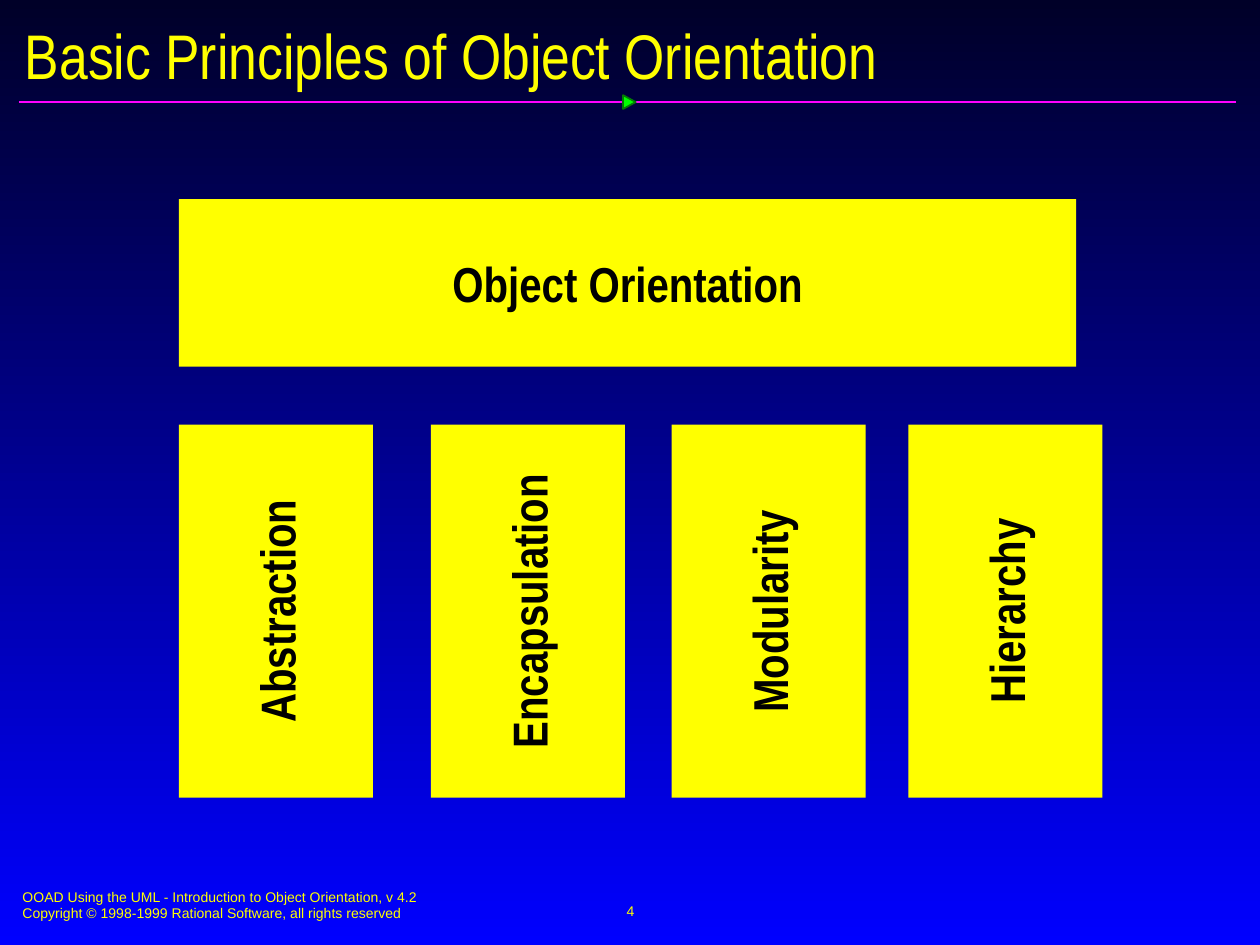
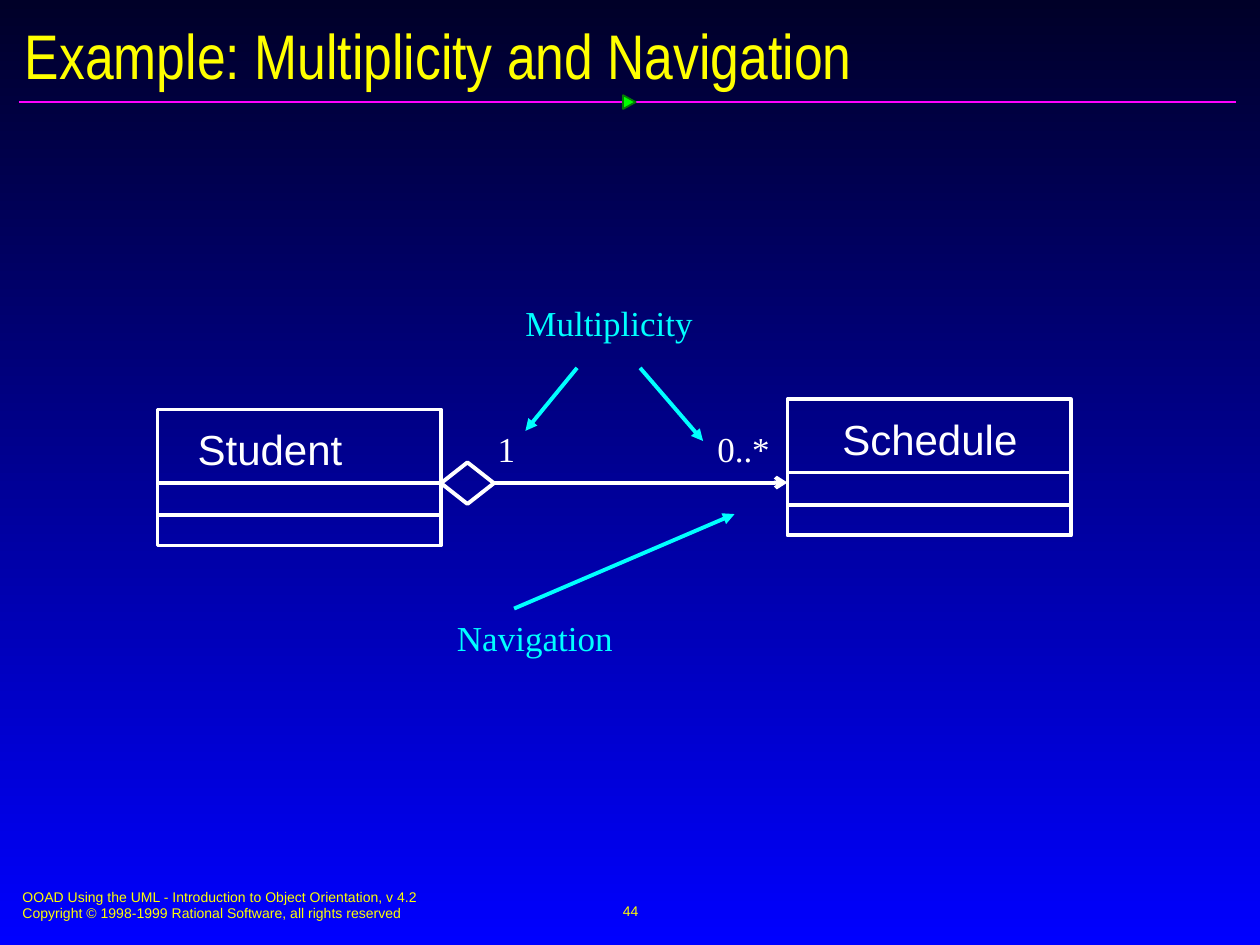
from lxml import etree
from pptx import Presentation
from pptx.dml.color import RGBColor
from pptx.enum.shapes import MSO_CONNECTOR, MSO_SHAPE
from pptx.enum.text import MSO_ANCHOR, PP_ALIGN
from pptx.oxml.ns import qn
from pptx.util import Inches, Pt

NIGHT = RGBColor(0x00, 0x00, 0x28)
BLUE = RGBColor(0x00, 0x00, 0xFF)
YELLOW = RGBColor(0xFF, 0xFF, 0x00)
MAGENTA = RGBColor(0xFF, 0x01, 0xFF)
GREEN = RGBColor(0x00, 0xFF, 0x00)
DARK_GREEN = RGBColor(0x03, 0x7C, 0x03)
CYAN = RGBColor(0x00, 0xFF, 0xFF)
WHITE = RGBColor(0xFF, 0xFF, 0xFF)
BLACK = RGBColor(0x00, 0x00, 0x00)

TITLE = {"name": "Arial Narrow", "size": Pt(36), "color": YELLOW}
FOOTER = {"name": "Arial", "size": Pt(8), "color": YELLOW}
BLOCK = {"name": "Arial Narrow", "size": Pt(28), "bold": True, "color": BLACK}
CLASS_NAME = {"name": "Arial", "size": Pt(24), "color": WHITE}
END_LABEL = {"name": "Times New Roman", "size": Pt(20), "color": WHITE}
CALLOUT = END_LABEL | {"color": CYAN}

LEFT, CENTER, RIGHT = PP_ALIGN.LEFT, PP_ALIGN.CENTER, PP_ALIGN.RIGHT
NARROW_INSETS, WIDE_INSETS = (0.1, 0.05), (0.12, 0.06)
DIAGRAM_LINE = 2.25

FOOTER_LINES = [
    "OOAD Using the UML - Introduction to Object Orientation, v 4.2",
    "Copyright © 1998-1999 Rational Software, all rights reserved",
]

# Slide 1: one roof over four pillars
ROOF = ("Object Orientation", (1.42, 1.58, 7.12, 1.33))
PILLARS = [("Abstraction", 1.42), ("Encapsulation", 3.42),
           ("Modularity", 5.33), ("Hierarchy", 7.21)]
PILLAR_TOP, PILLAR_WIDTH, PILLAR_HEIGHT = 3.37, 1.54, 2.96

# Slide 2: two classes joined by an aggregation
CLASSES = [("Student", 1.25, 3.25, LEFT), ("Schedule", 6.25, 3.17, CENTER)]
CLASS_WIDTH, CLASS_HEIGHT = 2.25, 1.08
COMPARTMENT_OFFSETS = [0.58, 0.84]
DIAGRAM_LABELS = [
    ("1", (3.83, 3.33, 1.73, 0.45), LEFT, END_LABEL),
    ("0..*", (4.5, 3.33, 1.73, 0.45), RIGHT, END_LABEL),
    ("Multiplicity", (2.92, 2.33, 3.83, 0.45), CENTER, CALLOUT),
    ("Navigation", (2.33, 4.83, 3.83, 0.45), CENTER, CALLOUT),
]
DIAGRAM_ARROWS = [
    ((5.08, 2.92), (5.58, 3.5), CYAN, "triangle"),
    ((4.58, 2.92), (4.17, 3.42), CYAN, "triangle"),
    ((4.08, 4.83), (5.83, 4.08), CYAN, "triangle"),
    ((3.92, 3.83), (6.25, 3.83), WHITE, "arrow"),
]
AGGREGATION_DIAMOND = (3.5, 3.67, 0.42, 0.33)


def inches(values):
    return [Inches(value) for value in values]


def write_text(shape, lines, style, align=LEFT, anchor=MSO_ANCHOR.TOP, insets=NARROW_INSETS):
    frame = shape.text_frame
    side, end = inches(insets)
    settings = {"word_wrap": True, "vertical_anchor": anchor, "margin_left": side,
                "margin_right": side, "margin_top": end, "margin_bottom": end}
    for name, value in settings.items():
        setattr(frame, name, value)
    frame.text = "\n".join(lines)
    for paragraph in frame.paragraphs:
        paragraph.alignment = align
        for name, value in style.items():
            if name == "color":
                paragraph.font.color.rgb = value
            else:
                setattr(paragraph.font, name, value)


def add_text(slide, box, lines, style, **layout):
    write_text(slide.shapes.add_textbox(*inches(box)), lines, style, **layout)


def add_figure(slide, kind, box, fill=None, line=None, width=DIAGRAM_LINE):
    shape = slide.shapes.add_shape(kind, *inches(box))
    shape.shadow.inherit = False
    if fill is None:
        shape.fill.background()
    else:
        shape.fill.solid()
        shape.fill.fore_color.rgb = fill
    if line is None:
        shape.line.fill.background()
    else:
        shape.line.color.rgb = line
        shape.line.width = Pt(width)
    return shape


def add_line(slide, start, end, color, width=DIAGRAM_LINE, arrowhead=None):
    connector = slide.shapes.add_connector(MSO_CONNECTOR.STRAIGHT, *inches(start + end))
    connector.line.color.rgb = color
    connector.line.width = Pt(width)
    if arrowhead:
        outline = connector.line._get_or_add_ln()
        etree.SubElement(outline, qn("a:tailEnd"), type=arrowhead)
    etree.SubElement(connector._element.spPr, qn("a:effectLst"))


def add_base_slide(presentation, title, number):
    """Add a slide with the shared background, title, rule and footers."""
    slide = presentation.slides.add_slide(presentation.slide_layouts[6])
    fill = slide.background.fill
    fill.gradient()
    fill.gradient_angle = 270
    for stop, color in zip(fill.gradient_stops, (NIGHT, BLUE)):
        stop.color.rgb = color
    add_line(slide, (0.15, 0.81), (9.81, 0.81), MAGENTA, width=1)
    marker = add_figure(slide, MSO_SHAPE.ISOSCELES_TRIANGLE, (4.94, 0.76, 0.11, 0.1),
                        GREEN, DARK_GREEN, width=1)
    marker.rotation = 90
    add_text(slide, (0.08, 7, 5.1, 0.37), FOOTER_LINES, FOOTER)
    add_text(slide, (3.42, 6.98, 3.17, 0.5), [str(number)], FOOTER,
             align=CENTER, anchor=MSO_ANCHOR.MIDDLE)
    add_text(slide, (0.1, 0.14, 9.84, 0.58), [title], TITLE, anchor=MSO_ANCHOR.MIDDLE)
    return slide


def add_block(slide, label, box):
    block = add_figure(slide, MSO_SHAPE.RECTANGLE, box, YELLOW)
    write_text(block, [label], BLOCK, align=CENTER, anchor=MSO_ANCHOR.MIDDLE)
    return block


def add_pillar(slide, label, left):
    """Add a block lying on its side, so that its text reads upwards."""
    shift = (PILLAR_HEIGHT - PILLAR_WIDTH) / 2
    box = (left - shift, PILLAR_TOP + shift, PILLAR_HEIGHT, PILLAR_WIDTH)
    add_block(slide, label, box).rotation = 270


def add_class(slide, name, left, top, align):
    add_figure(slide, MSO_SHAPE.RECTANGLE, (left, top, CLASS_WIDTH, CLASS_HEIGHT), line=WHITE)
    add_text(slide, (left + 0.22, top + 0.06, 1.82, 0.5), [name], CLASS_NAME, align=align)
    for offset in COMPARTMENT_OFFSETS:
        add_line(slide, (left, top + offset), (left + CLASS_WIDTH, top + offset), WHITE)


def build_principles(presentation):
    slide = add_base_slide(presentation, "Basic Principles of Object Orientation", 4)
    add_block(slide, *ROOF)
    for label, left in PILLARS:
        add_pillar(slide, label, left)


def build_multiplicity(presentation):
    slide = add_base_slide(presentation, "Example: Multiplicity and Navigation", 44)
    for class_box in CLASSES:
        add_class(slide, *class_box)
    for label, box, align, style in DIAGRAM_LABELS:
        add_text(slide, box, [label], style, align=align, insets=WIDE_INSETS)
    for start, end, color, arrowhead in DIAGRAM_ARROWS:
        add_line(slide, start, end, color, arrowhead=arrowhead)
    add_figure(slide, MSO_SHAPE.DIAMOND, AGGREGATION_DIAMOND, line=WHITE)


def main():
    presentation = Presentation()
    presentation.slide_width = Inches(10)
    presentation.slide_height = Inches(7.5)
    build_principles(presentation)
    build_multiplicity(presentation)
    presentation.save("out.pptx")


if __name__ == "__main__":
    main()
